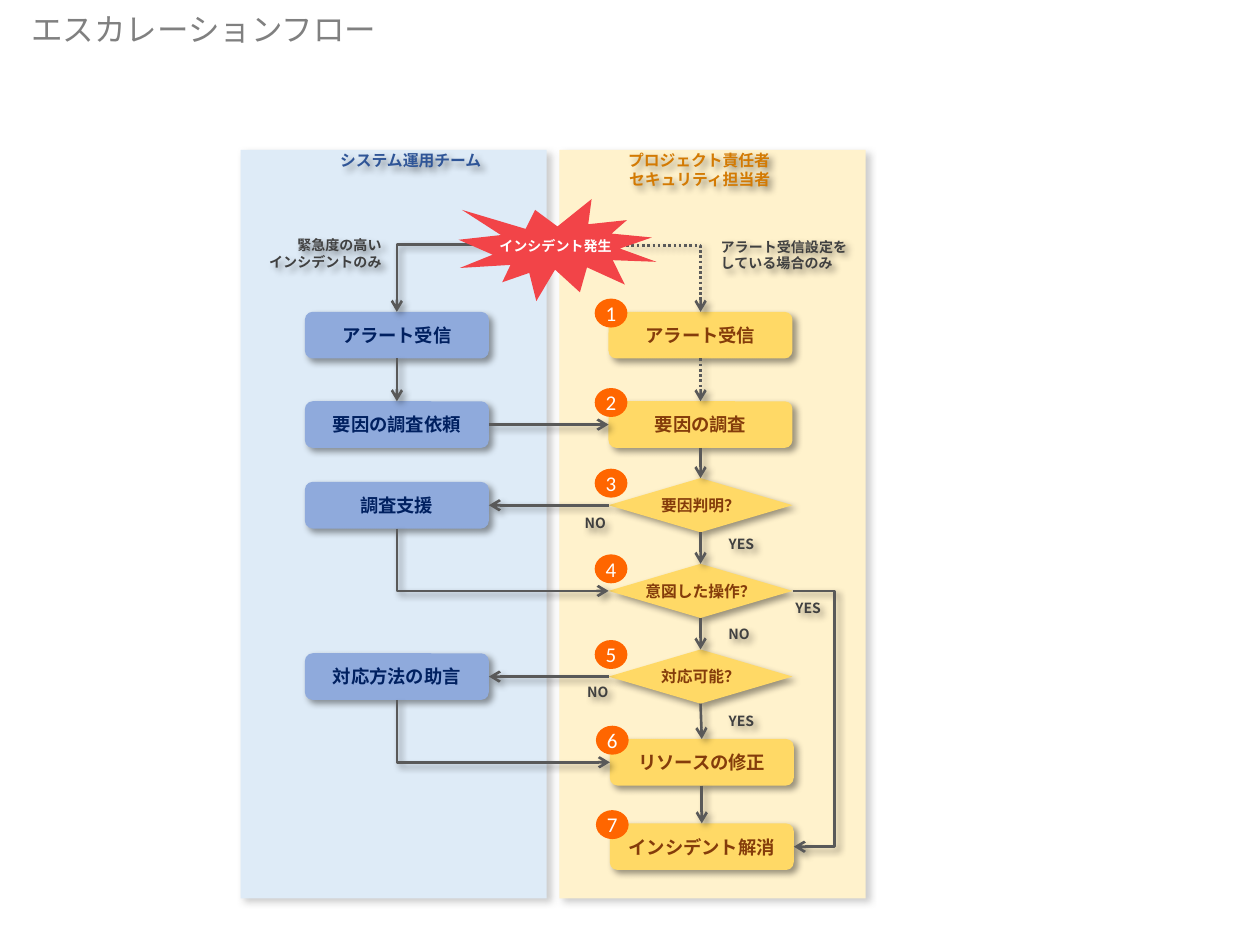
import pptx
import pptx.util
import pptx.dml.color
import pptx.enum.dml
import pptx.enum.shapes
import pptx.enum.text
import pptx.oxml.ns
import lxml.etree

SHAPE = pptx.enum.shapes.MSO_SHAPE
CONNECTOR = pptx.enum.shapes.MSO_CONNECTOR
ALIGN = pptx.enum.text.PP_ALIGN
ANCHOR = pptx.enum.text.MSO_ANCHOR
Inches = pptx.util.Inches
qn = pptx.oxml.ns.qn

JP = "Noto Sans CJK JP"
TOP, LEFT, BOTTOM, RIGHT = range(4)
OPS, OWNER = 3.15, 5.56
ROWS = [2.66, 3.37, 4.01, 4.69, 5.37, 6.05, 6.72]
NODE_W, BOX_H, DIAMOND_H = 1.46, 0.37, 0.43
BADGE_W, BADGE_H = 0.26, 0.23
COLORS = {
    "ops_lane": "DEEBF7", "owner_lane": "FFF2CC",
    "ops": "8FAADC", "owner": "FFD966",
    "ops_text": "002060", "owner_text": "843C0B",
    "ops_head": "2F5597", "owner_head": "D37A03",
    "title": "808080", "label": "404040", "line": "595959",
    "burst": "F24448", "badge": "FF6600", "white": "FFFFFF",
    "lane_shadow": "808080", "shadow": "000000",
}


def rgb(name):
    """Return the named colour."""
    return pptx.dml.color.RGBColor.from_string(COLORS[name])


def add_effect(shape, color=None):
    """Give a shape a soft drop shadow, or none without a colour."""
    sub = lxml.etree.SubElement
    effects = sub(shape._element.spPr, qn("a:effectLst"))
    if color:
        shadow = sub(effects, qn("a:outerShdw"), blurRad="50800", dist="38100",
                     dir="2700000", algn="tl", rotWithShape="0")
        tone = sub(shadow, qn("a:srgbClr"), val=COLORS[color])
        sub(tone, qn("a:alpha"), val="40000")


def set_text(shape, text, size, color, bold=True, align=ALIGN.CENTER,
             inset=0.0, anchor=ANCHOR.MIDDLE, wrap=True, font=JP):
    """Fill a shape with uniformly formatted text."""
    tf = shape.text_frame
    tf.text = text
    tf.word_wrap = wrap
    tf.vertical_anchor = anchor
    tf.margin_left = tf.margin_right = Inches(inset)
    tf.margin_top = tf.margin_bottom = Inches(inset)
    for p in tf.paragraphs:
        p.alignment = align
        for r in p.runs:
            r.font.size = pptx.util.Pt(size)
            r.font.bold = bold
            r.font.color.rgb = rgb(color)
            r.font.name = font
            lxml.etree.SubElement(r.font._element, qn("a:ea"), typeface=font)


def add_figure(s, kind, box, fill, shadow=None):
    """Add a borderless filled preset shape."""
    sp = s.shapes.add_shape(kind, *map(Inches, box))
    sp.fill.solid()
    sp.fill.fore_color.rgb = rgb(fill)
    sp.line.fill.background()
    add_effect(sp, shadow)
    return sp


def add_node(s, x, y, text, team, kind=SHAPE.FLOWCHART_ALTERNATE_PROCESS):
    """Add a step or decision centred on a grid point."""
    decision = kind == SHAPE.FLOWCHART_DECISION
    h = DIAMOND_H if decision else BOX_H
    sp = add_figure(s, kind, (x - NODE_W / 2, y - h / 2, NODE_W, h), team, "shadow")
    set_text(sp, text, 9 if decision else 10.5, team + "_text", wrap=not decision)
    return sp


def add_label(s, box, text, size=8, color="label", align=ALIGN.CENTER, shadow="shadow"):
    """Add a small bold caption."""
    sp = s.shapes.add_textbox(*map(Inches, box))
    set_text(sp, text, size, color, align=align, inset=0.07, anchor=ANCHOR.TOP)
    add_effect(sp, shadow)


def style_arrow(c, dotted=False):
    """Draw a connector as a grey arrow with a shadow."""
    c.line.width = pptx.util.Pt(1.5)
    c.line.color.rgb = rgb("line")
    if dotted:
        c.line.dash_style = pptx.enum.dml.MSO_LINE.ROUND_DOT
    lxml.etree.SubElement(c.line._ln, qn("a:tailEnd"), type="arrow")
    add_effect(c, "shadow")


def add_arrow(s, start, start_side, end, end_side, dotted=False):
    """Join two nodes with a straight arrow."""
    c = s.shapes.add_connector(CONNECTOR.STRAIGHT, 0, 0, 0, 0)
    c.begin_connect(start, start_side)
    c.end_connect(end, end_side)
    style_arrow(c, dotted)


def side(sp, index):
    """Return the middle of a node's side."""
    x = {LEFT: 0, RIGHT: sp.width}.get(index, sp.width // 2)
    y = {TOP: 0, BOTTOM: sp.height}.get(index, sp.height // 2)
    return sp.left + x, sp.top + y


def add_corner(s, start, end, down_first=False, dotted=False):
    """Add an arrow with one right-angled turn."""
    c = s.shapes.add_connector(CONNECTOR.ELBOW, *start, *end)
    c._element.spPr.find(qn("a:prstGeom")).set("prst", "bentConnector2")
    if down_first:
        w, h = c.width, c.height
        c.left, c.top = c.left + (w - h) // 2, c.top + (h - w) // 2
        c.width, c.height = h, w
        xfrm = c._element.spPr.find(qn("a:xfrm"))
        xfrm.set("rot", "16200000")
        xfrm.set("flipH", "1")
    style_arrow(c, dotted)


def add_bypass(s, start, end, reach):
    """Add an arrow that loops out to the right by the given reach."""
    c = s.shapes.add_connector(CONNECTOR.ELBOW, *start, *end)
    guides = c._element.spPr.find(qn("a:prstGeom")).get_or_add_avLst()
    ratio = round(Inches(reach) / c.width * 100000)
    lxml.etree.SubElement(guides, qn("a:gd"), name="adj1", fmla=f"val {ratio}")
    style_arrow(c)


def add_badge(s, x, y, number):
    """Add a numbered circle at a node's upper left."""
    box = (x - NODE_W / 2 - 0.11, y - 0.29, BADGE_W, BADGE_H)
    sp = add_figure(s, SHAPE.OVAL, box, "badge")
    set_text(sp, str(number), 12, "white", bold=False, font="Calibri")


def main():
    """Build the escalation flow slide."""
    prs = pptx.Presentation()
    prs.slide_width, prs.slide_height = Inches(10), Inches(7.5)
    s = prs.slides.add_slide(prs.slide_layouts[6])

    for x, team in ((4.44, "owner"), (1.91, "ops")):
        add_figure(s, SHAPE.RECTANGLE, (x, 1.19, 2.43, 5.94), team + "_lane", "lane_shadow")
    add_label(s, (2.63, 1.13, 1.35, 0.25), "システム運用チーム", 9, "ops_head", ALIGN.LEFT)
    add_label(s, (4.67, 1.13, 1.51, 0.29), "プロジェクト責任者\nセキュリティ担当者",
              9, "owner_head", ALIGN.RIGHT)
    title = s.shapes.add_textbox(*map(Inches, (0.15, 0.03, 3.35, 0.4)))
    set_text(title, "エスカレーションフロー", 18, "title", False, ALIGN.LEFT, 0.1, ANCHOR.TOP)
    title.text_frame.margin_top = title.text_frame.margin_bottom = Inches(0.05)

    ops = {row: add_node(s, OPS, ROWS[row], text, "ops") for row, text in (
        (0, "アラート受信"), (1, "要因の調査依頼"), (2, "調査支援"), (4, "対応方法の助言"))}
    steps = ["アラート受信", "要因の調査", "要因判明？", "意図した操作？",
             "対応可能？", "リソースの修正", "インシデント解消"]
    centers = [OWNER + (0.01 if row > 4 else 0) for row in range(len(ROWS))]
    owner = []
    for x, y, text in zip(centers, ROWS, steps):
        kind = SHAPE.FLOWCHART_DECISION if text.endswith("？") else SHAPE.FLOWCHART_ALTERNATE_PROCESS
        owner.append(add_node(s, x, y, text, "owner", kind))

    for row, (upper, lower) in enumerate(zip(owner, owner[1:])):
        add_arrow(s, upper, BOTTOM, lower, TOP, dotted=row == 0)
    add_arrow(s, ops[0], BOTTOM, ops[1], TOP)
    add_arrow(s, ops[1], RIGHT, owner[1], LEFT)
    for row in (2, 4):
        add_arrow(s, owner[row], LEFT, ops[row], RIGHT)
        add_corner(s, side(ops[row], BOTTOM), side(owner[row + 1], LEFT), down_first=True)
    add_corner(s, (Inches(3.87), Inches(1.94)), side(ops[0], TOP))
    add_corner(s, (Inches(4.97), Inches(1.95)), side(owner[0], TOP), dotted=True)
    add_bypass(s, side(owner[3], RIGHT), side(owner[6], RIGHT), 0.34)

    add_figure(s, SHAPE.EXPLOSION1, (3.64, 1.58, 1.57, 0.81), "burst")
    add_label(s, (3.87, 1.82, 1.08, 0.25), "インシデント発生", color="white", shadow=None)
    add_label(s, (5.65, 1.82, 1.19, 0.42), "アラート受信設定を\nしている場合のみ", align=ALIGN.LEFT)
    add_label(s, (1.96, 1.81, 1.14, 0.42), "緊急度の高い\nインシデントのみ", align=ALIGN.RIGHT)
    for x, y, answer in ((4.51, 4.02, "NO"), (5.67, 4.18, "YES"), (6.2, 4.69, "YES"),
                         (5.65, 4.9, "NO"), (4.53, 5.36, "NO"), (5.67, 5.59, "YES")):
        add_label(s, (x, y, 0.43, 0.23), answer)
    for number, (x, y) in enumerate(zip(centers, ROWS), 1):
        add_badge(s, x, y, number)

    prs.save("out.pptx")


if __name__ == "__main__":
    main()
